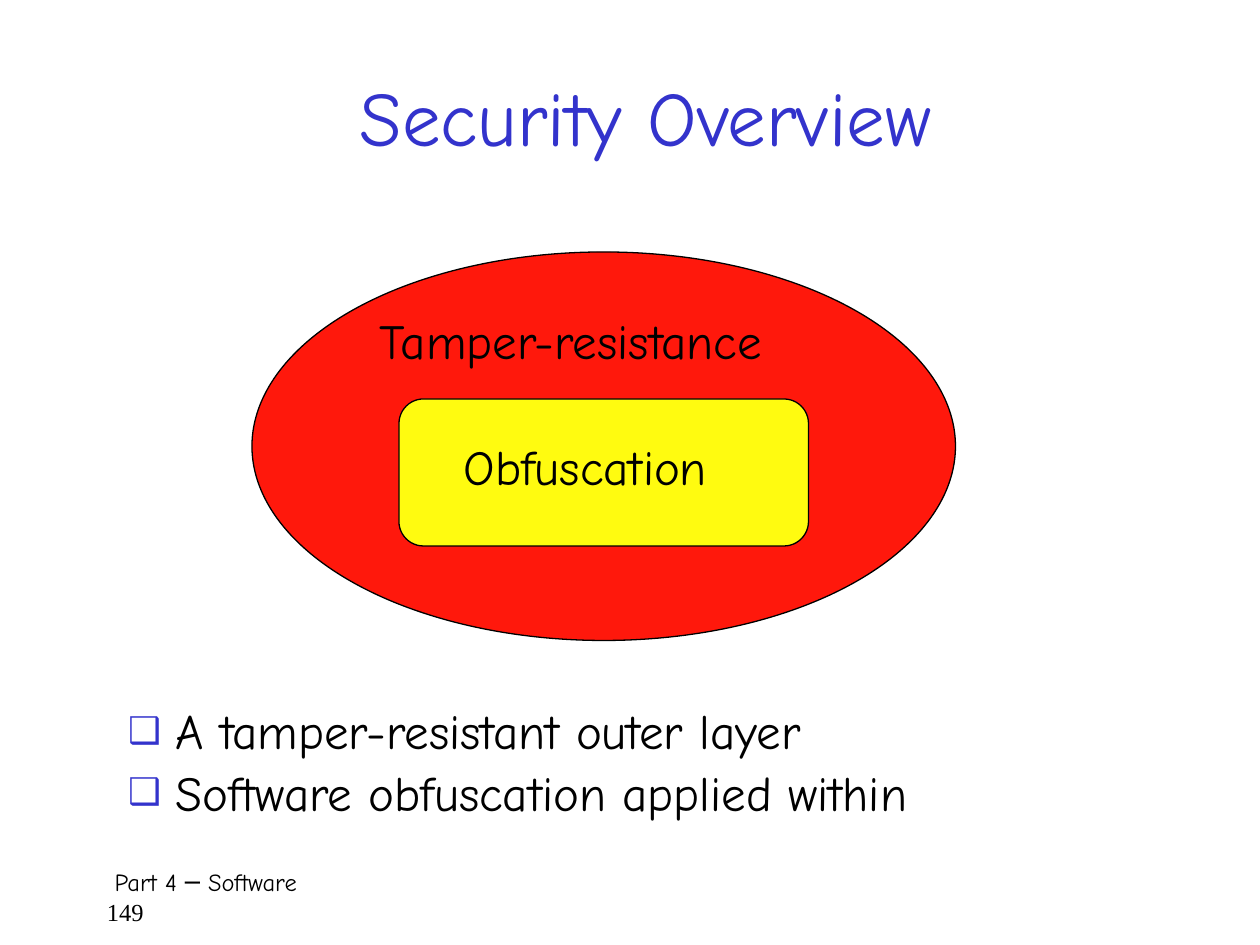
from dataclasses import dataclass

from lxml.etree import SubElement
from pptx import Presentation
from pptx.dml.color import RGBColor
from pptx.enum.shapes import MSO_SHAPE
from pptx.enum.text import MSO_ANCHOR, MSO_AUTO_SIZE, PP_ALIGN
from pptx.oxml.ns import qn
from pptx.util import Pt


@dataclass(frozen=True)
class Theme:
    font: str = "Comic Neue"
    number_font: str = "Times New Roman"
    text: str = "000000"
    accent: str = "3333CC"
    outer: str = "FF180C"
    inner: str = "FFFB10"
    title_size: float = 44
    body_size: float = 28
    footer_size: float = 14


THEME = Theme()


def rgb(value):
    return RGBColor.from_string(value)


def add_run(p, text, size, color=THEME.text, font=THEME.font):
    r = p.add_run()
    r.text = text
    r.font.size = Pt(size)
    r.font.name = font
    r.font.color.rgb = rgb(color)


def place(sp, box):
    sp.left, sp.top, sp.width, sp.height = (Pt(v) for v in box)


def set_title(s, text, box):
    sp = s.shapes.title
    place(sp, box)
    tf = sp.text_frame
    tf.auto_size = MSO_AUTO_SIZE.NONE
    tf.vertical_anchor = MSO_ANCHOR.MIDDLE
    p = tf.paragraphs[0]
    p.alignment = PP_ALIGN.CENTER
    add_run(p, text, THEME.title_size, THEME.accent)


def add_bullet(p, char, indent):
    pPr = p._p.get_or_add_pPr()
    pPr.set("marL", str(Pt(indent)))
    pPr.set("indent", str(-Pt(indent)))
    color = SubElement(pPr, qn("a:buClr"))
    SubElement(color, qn("a:srgbClr"), val=THEME.accent)
    SubElement(pPr, qn("a:buSzPct"), val="75000")
    SubElement(pPr, qn("a:buChar"), char=char)


def set_bullets(s, items, box):
    sp = s.placeholders[1]
    place(sp, box)
    tf = sp.text_frame
    tf.auto_size = MSO_AUTO_SIZE.NONE
    for i, item in enumerate(items):
        p = tf.add_paragraph() if i else tf.paragraphs[0]
        add_bullet(p, "❑", 27)
        p.line_spacing = 0.85
        p.space_before = Pt(6.5 if i else 0)
        add_run(p, item, THEME.body_size)


def add_layer(s, kind, box, fill):
    sp = s.shapes.add_shape(kind, *(Pt(v) for v in box))
    sp.shadow.inherit = False
    sp.fill.solid()
    sp.fill.fore_color.rgb = rgb(fill)
    sp.line.color.rgb = rgb(THEME.text)
    sp.line.width = Pt(0.75)


def add_text_box(s, box):
    tf = s.shapes.add_textbox(*(Pt(v) for v in box)).text_frame
    tf.word_wrap = True
    return tf.paragraphs[0]


def add_label(s, text, box):
    add_run(add_text_box(s, box), text, THEME.body_size)


def add_footer(s, text, number, box):
    p = add_text_box(s, box)
    p._p.get_or_add_pPr().set("indent", str(Pt(4.5)))
    add_run(p, text, THEME.footer_size)
    p.add_line_break()
    add_run(p, number, THEME.footer_size, font=THEME.number_font)


def main():
    prs = Presentation()
    prs.slide_width, prs.slide_height = Pt(720), Pt(540)
    s = prs.slides.add_slide(prs.slide_layouts[1])

    # Title and bullets
    set_title(s, "Security Overview", (60, 30, 618, 72))
    set_bullets(s, ["A tamper-resistant outer layer",
                    "Software obfuscation applied within"],
                (66, 402, 618, 84))

    # Nested layers and their labels
    add_layer(s, MSO_SHAPE.OVAL, (144, 144, 402, 222), THEME.outer)
    add_layer(s, MSO_SHAPE.ROUNDED_RECTANGLE, (228, 228, 234, 84), THEME.inner)
    add_label(s, "Obfuscation", (258, 246, 204, 46))
    add_label(s, "Tamper-resistance", (210, 174, 300, 46))

    # Footer
    add_footer(s, "Part 4 ─ Software", "149", (54, 492, 618, 36))

    prs.save("out.pptx")


if __name__ == "__main__":
    main()
